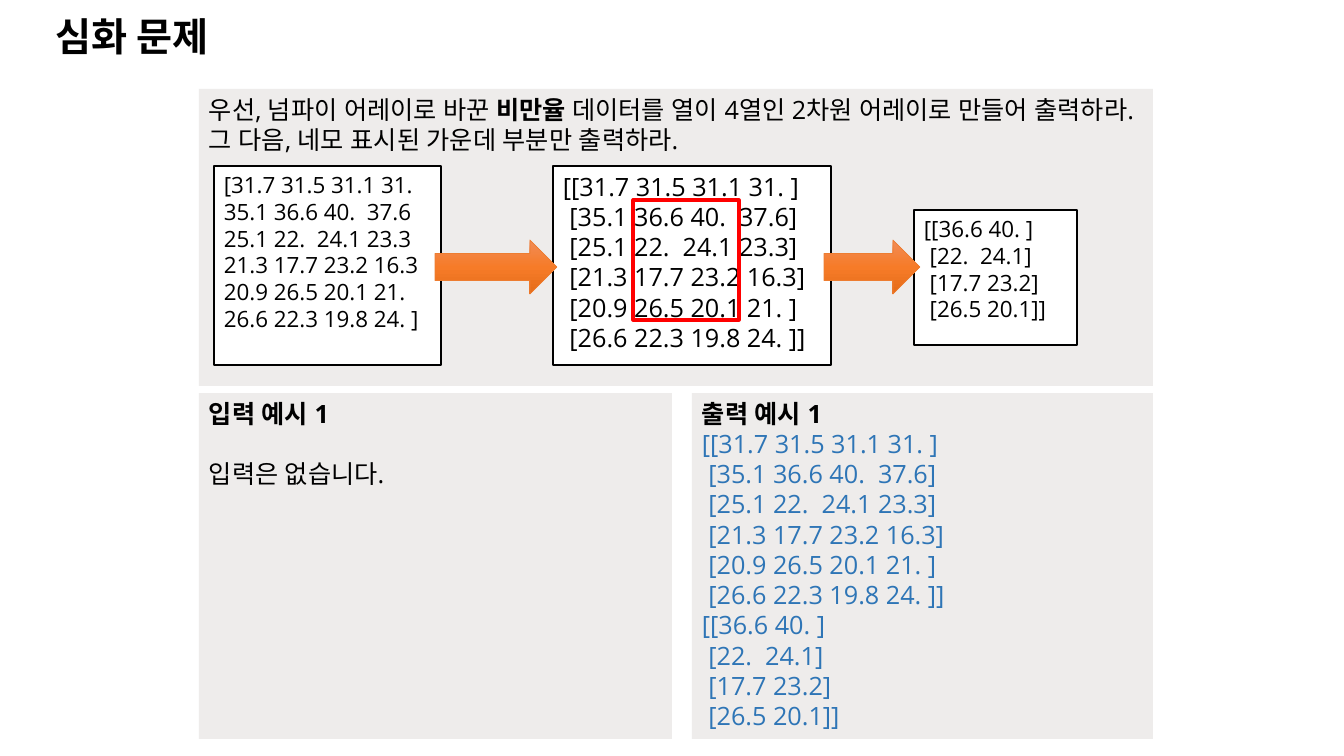
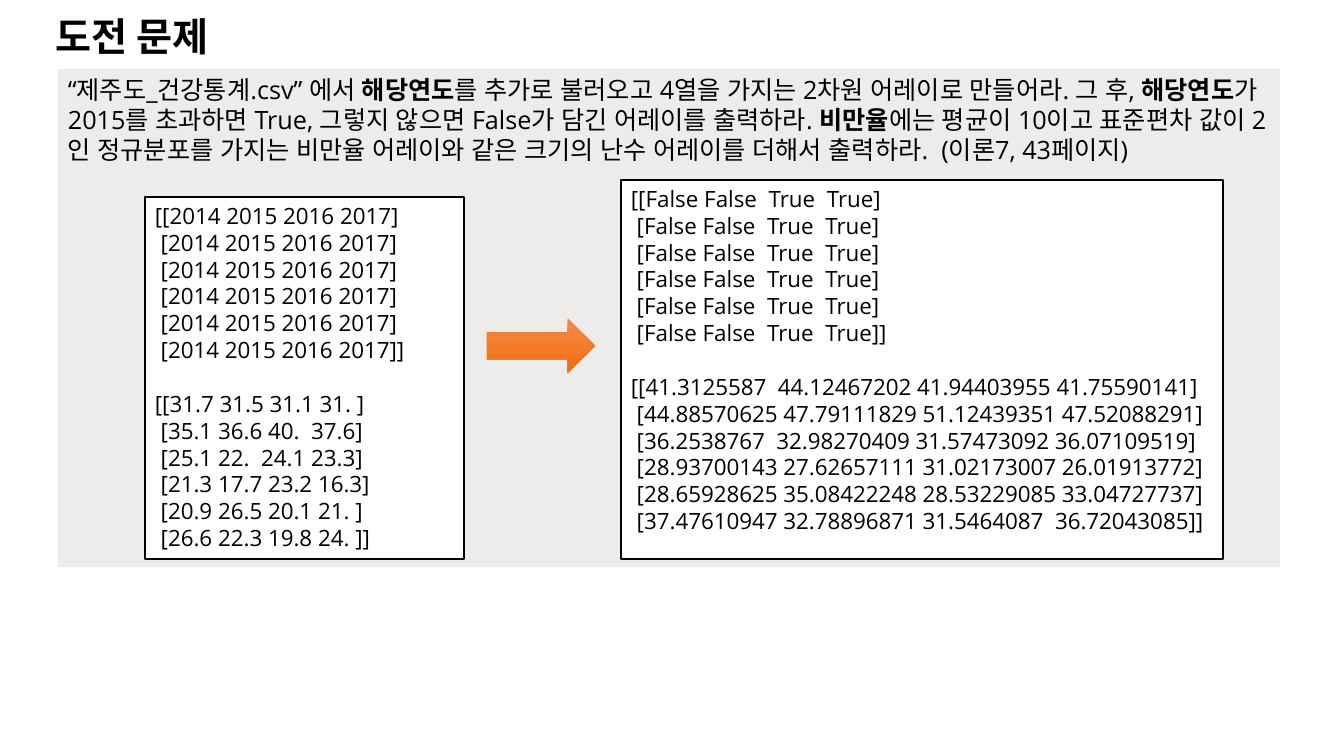
from copy import deepcopy

from pptx import Presentation
from pptx.dml.color import RGBColor
from pptx.enum.shapes import MSO_SHAPE as Shape
from pptx.enum.text import MSO_ANCHOR as Anchor, PP_ALIGN as Align
from pptx.oxml.ns import qn
from pptx.util import Inches, Pt

WIDTH, HEIGHT = 1344, 756
SCALE = Inches(1) / 100.8
COLORS = {"panel": "EEECEB", "card": "FFFFFF", "ink": "000000", "result": "2E75B6",
          "highlight": "FF0000", "arrow_edge": "ED7D31"}
ARROW_STOPS = [(0, "F18C57"), (0.5, "F67B28"), (1, "E56C19")]
BODY_FONT, TITLE_FONT = "Open Sans", "Noto Sans CJK KR"
LINE_HEIGHT = 1.2
GAP = None  # marks one line of space before the next paragraph

OBESITY = ["31.7 31.5 31.1 31. ", "35.1 36.6 40.  37.6", "25.1 22.  24.1 23.3",
           "21.3 17.7 23.2 16.3", "20.9 26.5 20.1 21. ", "26.6 22.3 19.8 24. "]
CENTER = ["36.6 40. ", "22.  24.1", "17.7 23.2", "26.5 20.1"]
YEARS = ["2014 2015 2016 2017"] * 6
AFTER_2015 = ["False False  True  True"] * 6
NOISY = ["41.3125587  44.12467202 41.94403955 41.75590141",
         "44.88570625 47.79111829 51.12439351 47.52088291",
         "36.2538767  32.98270409 31.57473092 36.07109519",
         "28.93700143 27.62657111 31.02173007 26.01913772",
         "28.65928625 35.08422248 28.53229085 33.04727737",
         "37.47610947 32.78896871 31.5464087  36.72043085"]


def matrix(rows):
    """Return the rows as the printed lines of a two-dimensional array."""
    last = len(rows) - 1
    return [("[[" if i == 0 else " [") + row + ("]]" if i == last else "]")
            for i, row in enumerate(rows)]


# A paragraph is a string or a list of runs; ** marks a bold run.
SLIDES = [
    {
        "title": "심화 문제",
        "panels": [
            ((199, 89, 954, 297), [["우선, 넘파이 어레이로 바꾼 ", "**비만율 ",
             "데이터를 열이 4열인 2차원 어레이로 만들어 출력하라. "
             "그 다음, 네모 표시된 가운데 부분만 출력하라."]], []),
            ((199, 393, 473, 346), [["**입력 예시 1"], GAP, "입력은 없습니다."], []),
            ((692, 393, 461, 346), [["**출력 예시 1"]], matrix(OBESITY) + matrix(CENTER)),
        ],
        "cards": [
            ((553, 166, 278, 199), 18, matrix(OBESITY)),
            ((914, 210, 163, 135), 16, matrix(CENTER)),
            ((214, 166, 227, 199), 16, ["[" + " ".join(OBESITY) + "]"]),
        ],
        "highlights": [(633, 200, 106, 120)],
        "arrows": [(824, 240, 96, 54), (435, 240, 122, 54)],
    },
    {
        "title": "도전 문제",
        "panels": [
            ((58, 69, 1222, 498), [["“제주도_건강통계.csv” 에서 ", "**해당연도",
             "를 추가로 불러오고 4열을 가지는 2차원 어레이로 만들어라. 그 후, ",
             "**해당연도",
             "가 2015를 초과하면 True, 그렇지 않으면 False가 담긴 어레이를 출력하라. ",
             "**비만율",
             "에는 평균이 10이고 표준편차 값이 2인 정규분포를 가지는 비만율 어레이와 "
             "같은 크기의 난수 어레이를 더해서 출력하라.  (이론7, 43페이지)"]], []),
        ],
        "cards": [
            ((145, 197, 319, 362), 16, matrix(YEARS) + [GAP] + matrix(OBESITY)),
            ((621, 180, 602, 379), 16, matrix(AFTER_2015) + [GAP] + matrix(NOISY)),
        ],
        "highlights": [],
        "arrows": [(487, 319, 108, 54)],
    },
]


def rgb(name):
    """Look up a named colour."""
    return RGBColor.from_string(COLORS[name])


def place(box):
    """Turn a pixel box into EMU lengths."""
    return [round(length * SCALE) for length in box]


def add_run(paragraph, text, size, color="ink", font=BODY_FONT):
    """Add a run, bold when its text starts with **."""
    run = paragraph.add_run()
    run.text = text.removeprefix("**")
    formats = {"name": font, "size": Pt(size), "bold": text.startswith("**")}
    for key, value in formats.items():
        setattr(run.font, key, value)
    run.font.color.rgb = rgb(color)
    east_asian = run.font._element.makeelement(qn("a:ea"), {"typeface": font})
    run.font._element.find(qn("a:latin")).addnext(east_asian)


def write(frame, lines, size, color="ink", align=Align.LEFT):
    """Append paragraphs to a text frame, turning GAP into space before."""
    space = 0
    for line in lines:
        if line is GAP:
            space = size * LINE_HEIGHT
            continue
        paragraph = frame.paragraphs[-1]
        if paragraph.runs:
            paragraph = frame.add_paragraph()
        paragraph.alignment = align
        paragraph.space_before = Pt(space)
        space = 0
        for text in [line] if isinstance(line, str) else line:
            add_run(paragraph, text, size, color)


def add_block(slide, box, fill=None, edge=None, weight=1, kind=Shape.RECTANGLE):
    """Add a flat shape with optional fill and outline; return it."""
    block = slide.shapes.add_shape(kind, *place(box))
    block.shadow.inherit = False
    if fill:
        block.fill.solid()
        block.fill.fore_color.rgb = rgb(fill)
    else:
        block.fill.background()
    if edge:
        block.line.color.rgb = rgb(edge)
        block.line.width = Pt(weight)
    else:
        block.line.fill.background()
    block.text_frame.word_wrap = True
    block.text_frame.vertical_anchor = Anchor.TOP
    return block


def add_arrow(slide, box):
    """Add a right arrow shaded from top to bottom."""
    arrow = add_block(slide, box, edge="arrow_edge", weight=0.5, kind=Shape.RIGHT_ARROW)
    arrow.fill.gradient()
    arrow.fill.gradient_angle = 270
    stops = arrow._element.spPr.find(".//" + qn("a:gsLst"))
    stops.append(deepcopy(stops[-1]))
    for stop, (position, color) in zip(arrow.fill.gradient_stops, ARROW_STOPS):
        stop.position = position
        stop.color.rgb = RGBColor.from_string(color)


def add_title(slide, title):
    """Add the slide title at the top left."""
    frame = slide.shapes.add_textbox(*place((12, 5, 240, 60))).text_frame
    frame.word_wrap = True
    frame.vertical_anchor = Anchor.BOTTOM
    heading = frame.paragraphs[0]
    for key, value in {"alignment": Align.CENTER, "line_spacing": 0.9,
                       "space_before": Pt(10)}.items():
        setattr(heading, key, value)
    add_run(heading, "**" + title, 28, font=TITLE_FONT)


def build_slide(deck, content):
    """Build one problem slide from its content."""
    slide = deck.slides.add_slide(deck.slide_layouts[6])
    for box, lines, results in content["panels"]:
        frame = add_block(slide, box, "panel").text_frame
        write(frame, lines, 18)
        write(frame, results, 18, "result")
    add_title(slide, content["title"])
    for box, size, lines in content["cards"]:
        write(add_block(slide, box, "card", "ink").text_frame, lines, size)
    for box in content["highlights"]:
        add_block(slide, box, edge="highlight", weight=2.25)
    for box in content["arrows"]:
        add_arrow(slide, box)


deck = Presentation()
deck.slide_width, deck.slide_height = place((WIDTH, HEIGHT))
for content in SLIDES:
    build_slide(deck, content)
deck.save("out.pptx")
